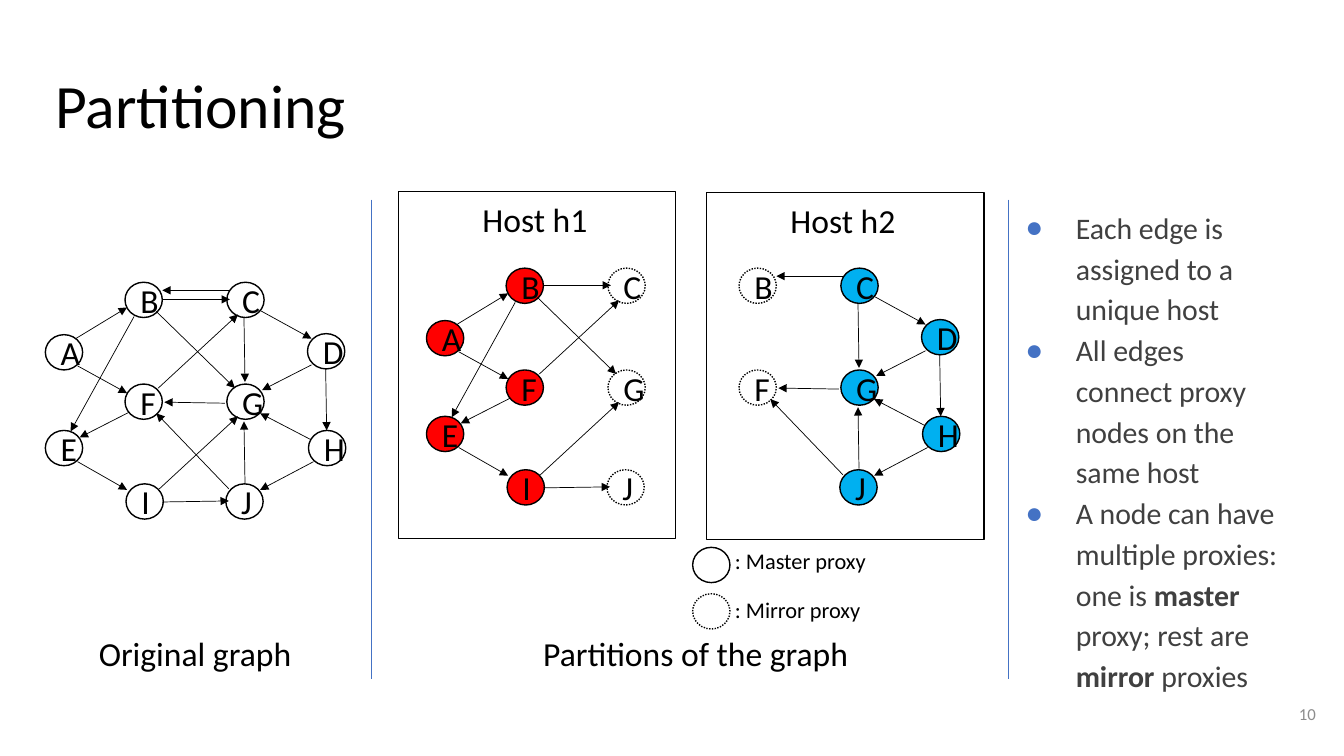
from dataclasses import dataclass
from typing import Any

from lxml import etree
from pptx import Presentation
from pptx import util as u
from pptx.dml.color import RGBColor
from pptx.enum import dml, shapes, text
from pptx.oxml.ns import qn

PX = 9144
BLACK, GREY, PALE_GREY = "000000", "404040", "8C8C8C"
RED, CYAN, BLUE = "FF0000", "00B0F0", "4472C4"
NODE_WIDTH, NODE_HEIGHT = 37, 35


@dataclass(frozen=True)
class Edge:
    source: str
    start: tuple[int, int]
    end: tuple[int, int]


@dataclass(frozen=True)
class Subgraph:
    masters: str
    mirrors: str
    fill: str | None
    shift: tuple[int, int]


@dataclass(frozen=True)
class Label:
    wording: str
    box: tuple[int, int, int, int]
    size: int = 24
    align: Any = text.PP_ALIGN.CENTER


NODES: dict[str, tuple[int, int]] = {
    "A": (45, 332), "B": (124, 280), "C": (225, 280), "D": (305, 331), "F": (124, 381),
    "G": (225, 381), "I": (125, 480), "J": (224, 480), "E": (45, 427), "H": (306, 427),
}
EDGES = [
    Edge("A", (77, 363), (126, 390)),
    Edge("A", (75, 336), (126, 305)),
    Edge("E", (77, 458), (126, 486)),
    Edge("F", (128, 409), (79, 434)),
    Edge("B", (133, 314), (70, 428)),
    Edge("F", (157, 385), (236, 312)),
    Edge("B", (155, 309), (233, 385)),
    Edge("I", (158, 485), (236, 413)),
    Edge("J", (227, 485), (155, 410)),
    Edge("I", (161, 498), (227, 497)),
    Edge("B", (162, 297), (228, 297)),
    Edge("C", (228, 288), (161, 288)),
    Edge("D", (309, 362), (260, 387)),
    Edge("H", (311, 458), (258, 486)),
    Edge("C", (258, 308), (309, 336)),
    Edge("D", (323, 366), (324, 427)),
    Edge("C", (242, 315), (243, 379)),
    Edge("J", (243, 479), (242, 418)),
    Edge("H", (308, 436), (258, 410)),
    Edge("G", (223, 400), (163, 399)),
]
SUBGRAPHS = [
    Subgraph("ABCDFGIJEH", "", None, (0, 0)),
    Subgraph("ABFIE", "CGJ", RED, (378, -14)),
    Subgraph("CDGJH", "BF", CYAN, (609, -14)),
]
LABELS = [
    Label("Original graph", (45, 621, 297, 54)),
    Label("Partitions of the graph", (368, 621, 644, 54)),
    Label("Host h1", (422, 190, 217, 54)),
    Label("Host h2", (733, 191, 206, 54)),
    Label(": Master proxy", (716, 536, 206, 40), 16, text.PP_ALIGN.LEFT),
    Label(": Mirror proxy", (716, 584, 206, 40), 16, text.PP_ALIGN.LEFT),
]
BULLETS = [
    [("Each edge is assigned to a unique host", False)],
    [("All edges connect proxy nodes on the same host", False)],
    [("A node can have multiple proxies: one is ", False), ("master", True),
     (" proxy; rest are ", False), ("mirror", True), (" proxies", False)],
]


def px(*lengths: int) -> list[u.Emu]:
    return [u.Emu(length * PX) for length in lengths]


def colour(value: str) -> RGBColor:
    return RGBColor.from_string(value)


def assign(target: Any, values: dict[str, Any]) -> None:
    for name, value in values.items():
        setattr(target, name, value)


def place(shape: Any, box: tuple[int, int, int, int]) -> None:
    assign(shape, dict(zip(("left", "top", "width", "height"), px(*box))))


def format_frame(frame: Any, across: int, down: int, anchor: Any = text.MSO_ANCHOR.TOP) -> None:
    side, edge = px(across, down)
    assign(frame, {"word_wrap": True, "auto_size": text.MSO_AUTO_SIZE.NONE,
                   "vertical_anchor": anchor, "margin_left": side, "margin_right": side,
                   "margin_top": edge, "margin_bottom": edge})


def add_run(paragraph: Any, wording: str, size: float, ink: str = BLACK, bold: bool = False) -> None:
    run = paragraph.add_run()
    run.text = wording
    assign(run.font, {"name": "Calibri", "size": u.Pt(size), "bold": bold})
    run.font.color.rgb = colour(ink)


def add_outline(slide: Any, kind: Any, box: tuple[int, int, int, int],
                fill: str | None = None, dotted: bool = False) -> Any:
    shape = slide.shapes.add_shape(kind, *px(*box))
    shape.shadow.inherit = False
    if fill:
        shape.fill.solid()
        shape.fill.fore_color.rgb = colour(fill)
    else:
        shape.fill.background()
    shape.line.color.rgb = colour(BLACK)
    shape.line.width = u.Pt(1)
    if dotted:
        shape.line.dash_style = dml.MSO_LINE.ROUND_DOT
    return shape


def add_node(slide: Any, left: int, top: int, letter: str = "",
             fill: str | None = None, dotted: bool = False) -> None:
    box = (left, top, NODE_WIDTH, NODE_HEIGHT)
    shape = add_outline(slide, shapes.MSO_SHAPE.OVAL, box, fill, dotted)
    if letter:
        paragraph = shape.text_frame.paragraphs[0]
        paragraph.alignment = text.PP_ALIGN.CENTER
        add_run(paragraph, letter, 24)


def add_line(slide: Any, start: tuple[int, int], end: tuple[int, int],
             ink: str = BLACK, arrow: bool = True) -> None:
    line = slide.shapes.add_connector(shapes.MSO_CONNECTOR.STRAIGHT, *px(*start, *end))
    line.line.color.rgb = colour(ink)
    line.line.width = u.Pt(0.5)
    properties = line.element.spPr
    if arrow:
        etree.SubElement(properties.find(qn("a:ln")), qn("a:tailEnd"), type="triangle")
    etree.SubElement(properties, qn("a:effectLst"))


def add_subgraph(slide: Any, graph: Subgraph) -> None:
    across, down = graph.shift
    for letter in graph.masters + graph.mirrors:
        left, top = NODES[letter]
        mirror = letter in graph.mirrors
        add_node(slide, left + across, top + down, letter, None if mirror else graph.fill, mirror)
    for edge in EDGES:
        if edge.source in graph.masters:
            start, end = [(x + across, y + down) for x, y in (edge.start, edge.end)]
            add_line(slide, start, end)


def add_label(slide: Any, label: Label) -> None:
    frame = slide.shapes.add_textbox(*px(*label.box)).text_frame
    format_frame(frame, 13, 7)
    paragraph = frame.paragraphs[0]
    paragraph.alignment = label.align
    add_run(paragraph, label.wording, label.size)


def fill_title(title: Any) -> None:
    place(title, (45, 65, 1242, 103))
    format_frame(title.text_frame, 10, 10)
    paragraph = title.text_frame.paragraphs[0]
    assign(paragraph, {"alignment": text.PP_ALIGN.LEFT, "line_spacing": 0.9})
    add_run(paragraph, "Partitioning", 44)


def fill_list(body: Any) -> None:
    place(body, (987, 190, 301, 482))
    frame = body.text_frame
    format_frame(frame, 13, 13)
    left, hanging = px(67, -50)
    for index, runs in enumerate(BULLETS):
        paragraph = frame.add_paragraph() if index else frame.paragraphs[0]
        properties = paragraph._p.get_or_add_pPr()
        assign_indent = {"marL": left, "indent": hanging}
        for name, value in assign_indent.items():
            properties.set(name, str(value))
        bullet_colour = etree.SubElement(properties, qn("a:buClr"))
        etree.SubElement(bullet_colour, qn("a:srgbClr"), val=BLUE)
        etree.SubElement(properties, qn("a:buChar"), char="●")
        assign(paragraph, {"line_spacing": 1.14, "space_before": u.Pt(0), "space_after": u.Pt(0)})
        for wording, bold in runs:
            add_run(paragraph, wording, 21.3, GREY, bold)


def add_page_number(slide: Any) -> None:
    frame = slide.shapes.add_textbox(*px(1235, 680, 80, 57)).text_frame
    format_frame(frame, 10, 10, text.MSO_ANCHOR.MIDDLE)
    paragraph = frame.paragraphs[0]
    paragraph.alignment = text.PP_ALIGN.RIGHT
    add_run(paragraph, "10", 12, PALE_GREY)


def main() -> None:
    presentation = Presentation()
    assign(presentation, dict(zip(("slide_width", "slide_height"), px(1333, 750))))
    slide = presentation.slides.add_slide(presentation.slide_layouts[1])
    fill_title(slide.shapes.title)
    fill_list(slide.placeholders[1])
    for graph in SUBGRAPHS:
        add_subgraph(slide, graph)
    for label in LABELS:
        add_label(slide, label)
    for top, dotted in ((543, False), (589, True)):
        add_node(slide, 687, top, dotted=dotted)
    for left, top in ((395, 190), (701, 191)):
        add_outline(slide, shapes.MSO_SHAPE.RECTANGLE, (left, top, 275, 344))
    for x in (368, 1000):
        add_line(slide, (x, 198), (x, 674), BLUE, arrow=False)
    add_page_number(slide)
    presentation.save("out.pptx")


if __name__ == "__main__":
    main()
